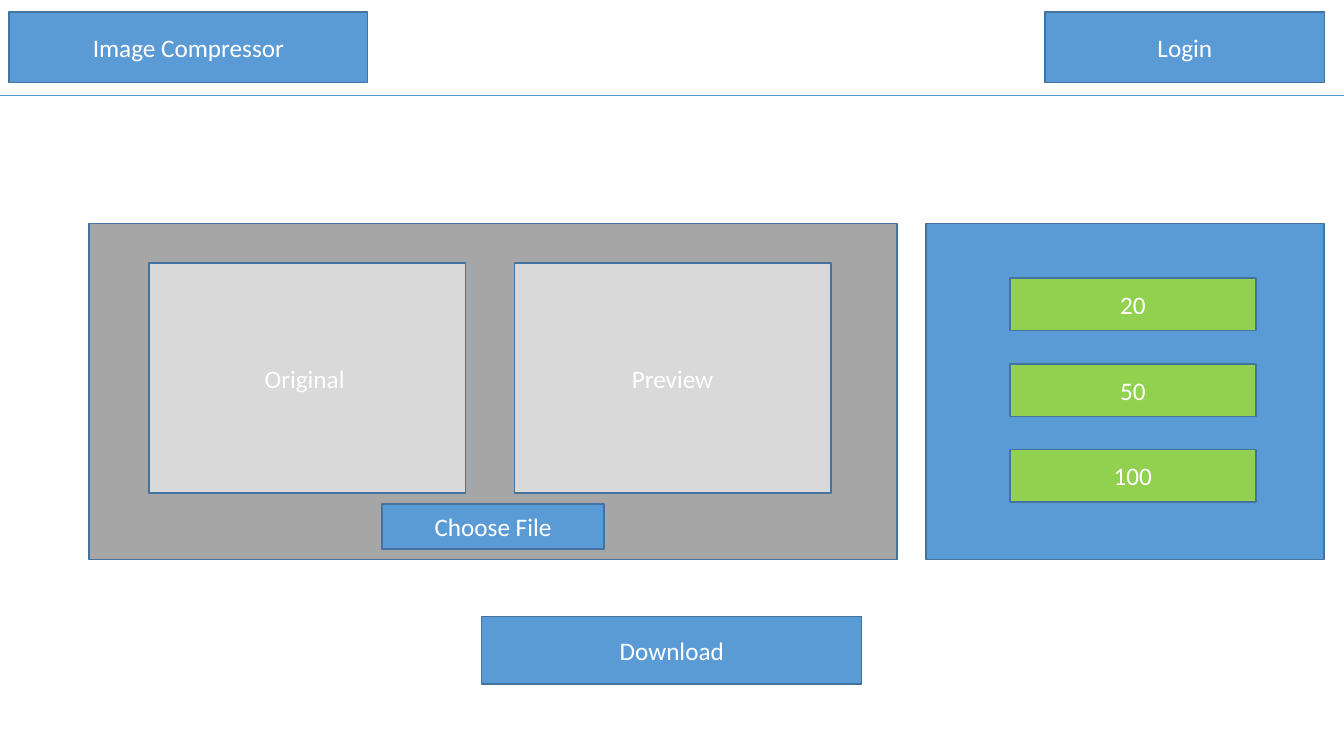
from pptx import Presentation
from pptx import util as u
from pptx.dml.color import RGBColor
from pptx.enum import shapes, text
from pptx.oxml.ns import qn
from lxml import etree

BLUE, EDGE, GREEN = "5B9BD5", "43739E", "92D050"
GRAY, PALE, WHITE = "A6A6A6", "D9D9D9", "FFFFFF"
WIDE, HIGH, RULE = 33.87, 19.05, 2.41

# label, fill, (left, top, width, height) in cm
PANELS = [
    ("", GRAY, (2.24, 5.64, 20.37, 8.46)),
    ("", BLUE, (23.34, 5.64, 10.03, 8.46)),
]
BUTTONS = [
    ("Image Compressor", BLUE, (0.23, 0.3, 9.04, 1.78)),
    ("Login", BLUE, (26.34, 0.3, 7.04, 1.78)),
    ("Choose File", BLUE, (9.63, 12.7, 5.59, 1.14)),
    ("Download", BLUE, (12.14, 15.54, 9.58, 1.7)),
]
# labels, fill, first box, step across, step down
SERIES = [
    (["Original ", "Preview"], PALE, (3.76, 6.63, 7.98, 5.79), 9.2, 0),
    (["20", "50", "100"], GREEN, (25.45, 7.01, 6.2, 1.32), 0, 2.16),
]
FONT = {"name": "Calibri", "size": u.Pt(18)}
FRAME = {"word_wrap": True, "vertical_anchor": text.MSO_ANCHOR.MIDDLE}


def color(code):
    return RGBColor.from_string(code)


def apply(item, form):
    for key, value in form.items():
        setattr(item, key, value)


def add_box(slide, label, fill, place):
    box = slide.shapes.add_shape(shapes.MSO_SHAPE.RECTANGLE, *map(u.Cm, place))
    box.shadow.inherit = False
    box.fill.solid()
    box.fill.fore_color.rgb = color(fill)
    box.line.color.rgb = color(EDGE)
    box.line.width = u.Pt(1)
    if label:
        frame = box.text_frame
        apply(frame, FRAME)
        para = frame.paragraphs[0]
        para.alignment = text.PP_ALIGN.CENTER
        run = para.add_run()
        run.text = label
        apply(run.font, FONT)
        run.font.color.rgb = color(WHITE)


def add_rule(slide):
    rule = slide.shapes.add_connector(
        shapes.MSO_CONNECTOR.STRAIGHT, 0, u.Cm(RULE), u.Cm(WIDE), u.Cm(RULE))
    rule.line.color.rgb = color(BLUE)
    rule.line.width = u.Pt(0.5)
    etree.SubElement(rule._element.spPr, qn("a:effectLst"))


def spread(labels, fill, first, across, down):
    """Give one box per label, evenly stepped from the first."""
    left, top, width, height = first
    return [(label, fill, (left + i * across, top + i * down, width, height))
            for i, label in enumerate(labels)]


def main():
    deck = Presentation()
    apply(deck, {"slide_width": u.Cm(WIDE), "slide_height": u.Cm(HIGH)})
    slide = deck.slides.add_slide(deck.slide_layouts[6])
    add_rule(slide)
    boxes = PANELS + BUTTONS
    for group in SERIES:
        boxes = boxes + spread(*group)
    for box in boxes:
        add_box(slide, *box)
    deck.save("out.pptx")


if __name__ == "__main__":
    main()
